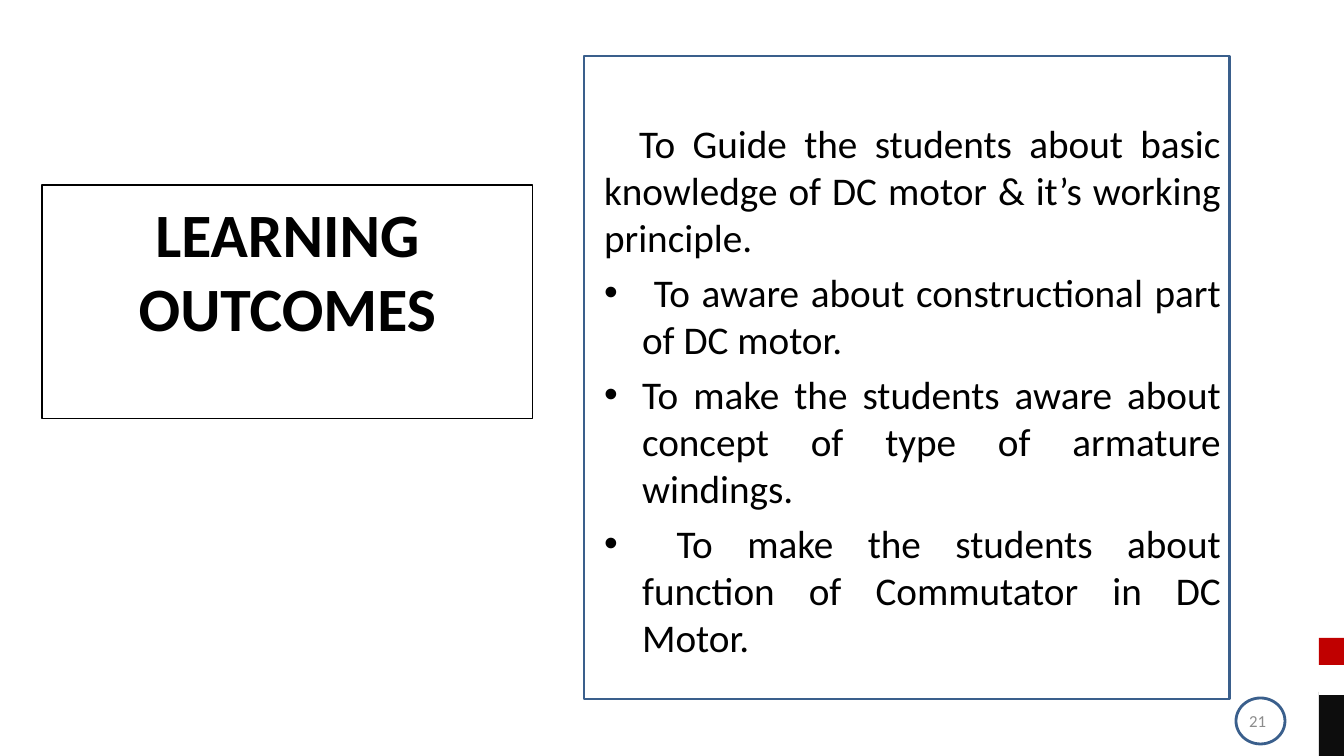
from lxml.etree import SubElement
from pptx import Presentation
from pptx.dml.color import RGBColor
from pptx.enum.shapes import MSO_SHAPE as SHAPE
from pptx.enum.text import MSO_ANCHOR as ANCHOR, MSO_AUTO_SIZE as FIT, PP_ALIGN as ALIGN
from pptx.oxml.ns import qn
from pptx.util import Pt

PX = 914400 / 100.8
BLUE = "3A5F8C"
HANG = 38
GOALS = [
    " To aware about constructional part of DC motor.",
    "To make the students aware about concept of type of armature windings.",
    " To make the students about function of Commutator in DC Motor.",
]


def px(n):
    return round(n * PX)


def color(code):
    return RGBColor.from_string(code)


def place(shape, *box):
    shape.left, shape.top, shape.width, shape.height = map(px, box)


def outline(shape, code, width):
    shape.line.color.rgb = color(code)
    shape.line.width = Pt(width)


def write(para, text, size=28, code="000000", bold=False, align=ALIGN.JUSTIFY, before=0):
    para.alignment = align
    para.space_before = Pt(before)
    run = para.add_run()
    run.text = text
    font = run.font
    font.name, font.size, font.bold = "Calibri", Pt(size), bold
    font.color.rgb = color(code)


def indent(para, left, first, mark=None):
    props = para._p.get_or_add_pPr()
    props.set("marL", str(px(left)))
    props.set("indent", str(px(first)))
    if mark:
        SubElement(props, qn("a:buFont"), typeface="Arial")
        SubElement(props, qn("a:buChar"), char=mark)
    else:
        SubElement(props, qn("a:buNone"))


def draw(shapes, kind, box, fill=None, line=None):
    shape = shapes.add_shape(kind, *map(px, box))
    shape.shadow.inherit = False
    if fill:
        shape.fill.solid()
        shape.fill.fore_color.rgb = color(fill)
    else:
        shape.fill.background()
    if line:
        outline(shape, line, 2)
    else:
        shape.line.fill.background()


def add_goals(body):
    place(body, 594, 114, 637, 537)
    frame = body.text_frame
    frame.auto_size = FIT.NONE
    para = frame.paragraphs[0]
    indent(para, 0, 35)
    write(para, "To Guide the students about basic knowledge of DC motor & it’s working principle.")
    for goal in GOALS:
        para = frame.add_paragraph()
        indent(para, HANG, -HANG, "•")
        write(para, goal, before=5.6)


def add_title(title):
    place(title, 42, 185, 491, 234)
    outline(title, "000000", 0.75)
    frame = title.text_frame
    frame.auto_size = FIT.NONE
    frame.vertical_anchor = ANCHOR.BOTTOM
    frame.margin_bottom = px(75)
    write(frame.paragraphs[0], "LEARNING OUTCOMES", size=44, bold=True, align=ALIGN.CENTER)


def add_number(shapes):
    box = shapes.add_textbox(*map(px, (974, 701, 302, 40)))
    frame = box.text_frame
    frame.word_wrap = True
    frame.vertical_anchor = ANCHOR.MIDDLE
    write(frame.paragraphs[0], "21", size=12, code="8C8C8C", align=ALIGN.RIGHT)


def add_stripes(shapes):
    group = shapes.add_group_shape()
    for top, high, fill in [(638, 27, "C00000"), (692, 64, "0D0D0D"), (666, 29, "FFFFFF")]:
        draw(group.shapes, SHAPE.RECTANGLE, (1319, top, 25, high), fill=fill)


def main():
    deck = Presentation()
    deck.slide_width, deck.slide_height = px(1344), px(756)
    slide = deck.slides.add_slide(deck.slide_layouts[1])
    shapes = slide.shapes
    add_goals(slide.placeholders[1])
    add_title(shapes.title)
    add_number(shapes)
    draw(shapes, SHAPE.RECTANGLE, (584, 56, 646, 643), line=BLUE)
    draw(shapes, SHAPE.OVAL, (1236, 698, 49, 46), line=BLUE)
    add_stripes(shapes)
    deck.save("out.pptx")


if __name__ == "__main__":
    main()
